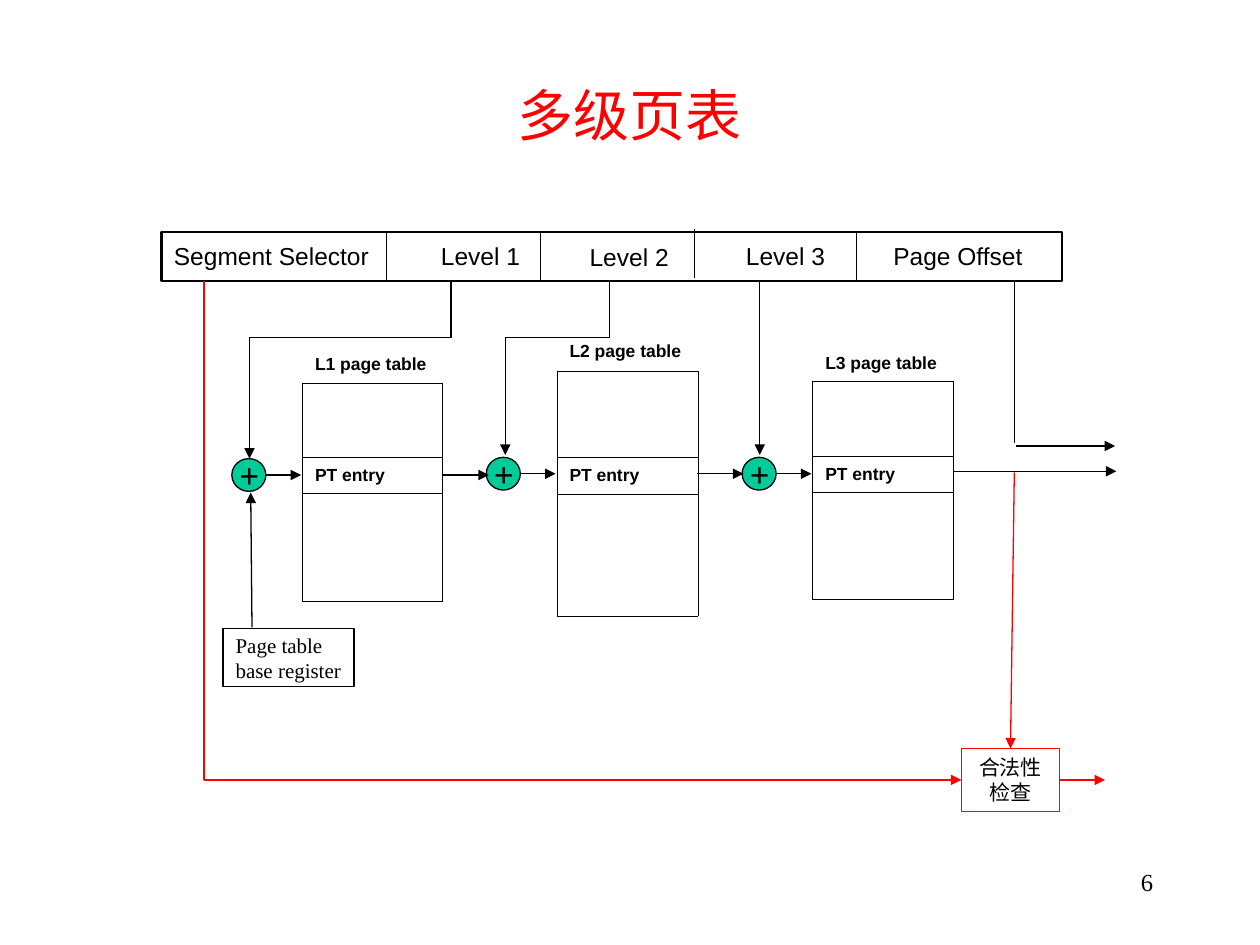
import pptx
import pptx.util
import pptx.dml.color
import pptx.enum.shapes
import pptx.enum.text
import pptx.oxml
import pptx.oxml.ns

SCALE = 9144  # EMU in one px, 100 px to the inch
BLACK, RED, GREEN = "000000", "FF0000", "00CC99"
SHAPE = pptx.enum.shapes.MSO_SHAPE
ALIGN = pptx.enum.text.PP_ALIGN
ANCHOR = pptx.enum.text.MSO_ANCHOR


def px(*nums):
    return [pptx.util.Emu(n * SCALE) for n in nums]


def color(code):
    return pptx.dml.color.RGBColor.from_string(code)


def write(frame, text, size=14, font="Arial", ink=BLACK, bold=False,
          align=ALIGN.LEFT, space=None):
    """Put one formatted paragraph into a text frame."""
    para = frame.paragraphs[0]
    para.alignment = align
    if space:
        para.line_spacing = space
    run = para.add_run()
    run.text = text
    run.font.size = pptx.util.Pt(size)
    run.font.name = font
    run.font.bold = bold
    run.font.color.rgb = color(ink)


def inset(frame, side, top):
    frame.margin_left, frame.margin_right = px(side, side)
    frame.margin_top, frame.margin_bottom = px(top, top)


def node(tag, **attrs):
    item = pptx.oxml.parse_xml(
        f"<a:{tag} {pptx.oxml.ns.nsdecls('a')}/>")
    for key, value in attrs.items():
        item.set(key, value)
    return item


class Painter:
    thin = 0.75
    edge = 0.45
    serif = "Times New Roman"

    def __init__(self, deck):
        self.slide = deck.slides.add_slide(deck.slide_layouts[5])
        self.shapes = self.slide.shapes

    def title(self, text, box):
        head = self.shapes.title
        head.left, head.top, head.width, head.height = px(*box)
        head.text_frame.vertical_anchor = ANCHOR.MIDDLE
        write(head.text_frame, text, size=32, ink=RED, align=ALIGN.CENTER)

    def label(self, text, box, side=2, top=1, wrap=True, **style):
        frame = self.shapes.add_textbox(*px(*box)).text_frame
        frame.word_wrap = wrap
        inset(frame, side, top)
        write(frame, text, **style)

    def shape(self, kind, box, fill=None, ink=BLACK, width=thin):
        item = self.shapes.add_shape(kind, *px(*box))
        item.shadow.inherit = False
        if fill:
            item.fill.solid()
            item.fill.fore_color.rgb = color(fill)
        else:
            item.fill.background()
        item.line.color.rgb = color(ink)
        item.line.width = pptx.util.Pt(width)
        return item

    def line(self, x1, y1, x2, y2, ink=BLACK, arrow=False,
             start=None, end=None):
        """Draw a line; start and end are (shape, site) pairs to join."""
        item = self.shapes.add_connector(
            pptx.enum.shapes.MSO_CONNECTOR.STRAIGHT, *px(x1, y1, x2, y2))
        if start:
            item.begin_connect(*start)
        if end:
            item.end_connect(*end)
        item.line.color.rgb = color(ink)
        item.line.width = pptx.util.Pt(self.thin)
        if arrow:
            item.line._get_or_add_ln().append(node("tailEnd", type="triangle"))
        item._element.spPr.append(node("effectLst"))

    def border(self, cell, sides):
        """Draw the named sides of a cell and clear the others."""
        cell.fill.background()
        props = cell._tc.get_or_add_tcPr()
        for spot, side in enumerate("LRTB"):
            rule = node(f"ln{side}", w=str(pptx.util.Pt(self.edge)))
            if side in sides:
                paint = node("solidFill")
                paint.append(node("srgbClr", val=BLACK))
            else:
                paint = node("noFill")
            rule.append(paint)
            props.insert(spot, rule)

    def table(self, name, x, y, wide, rows):
        grid = self.shapes.add_table(
            len(rows), 1, *px(x, y, wide, sum(rows))).table
        grid.first_row = grid.horz_banding = False
        texts = [name, "", "PT entry", ""]
        for i, (high, text) in enumerate(zip(rows, texts)):
            grid.rows[i].height = px(high)[0]
            cell = grid.cell(i, 0)
            inset(cell, 10, 5)
            self.border(cell, "LRTB" if i else "B")
            if text:
                write(cell.text_frame, text, size=10, bold=True, space=1.1)

    def adder(self, x, y):
        """Green circle with a plus, and its arrow to the table."""
        self.shape(SHAPE.OVAL, (x, y, 27, 26), fill=GREEN)
        self.label("+", (x + 6, y - 4, 16, 33), side=0, top=0, wrap=False,
                   size=20, font=self.serif, bold=True, align=ALIGN.CENTER)
        self.line(x + 27, y + 13, x + 55, y + 13, arrow=True)


def main():
    deck = pptx.Presentation()
    deck.slide_width, deck.slide_height = px(1000, 750)
    art = Painter(deck)
    art.title("多级页表", (75, 35, 850, 111))

    # Address fields
    art.shape(SHAPE.RECTANGLE, (128, 184, 715, 39), width=1.5)
    for text, x, y, wide in [("Segment Selector", 136, 190, 168),
                             ("Level 1", 348, 190, 83),
                             ("Level 2", 466, 191, 83),
                             ("Level 3", 590, 190, 83),
                             ("Page Offset", 707, 190, 123)]:
        art.label(text, (x, y, wide, 26))
    for x, y in [(307, 184), (429, 184), (551, 182), (680, 184)]:
        art.line(x, y, x, y + 39)

    # Page tables with their adders
    short, tall = (29, 59, 29, 85), (30, 68, 29, 97)
    for name, x, y, wide, rows, mid in [
            ("L1 page table", 240, 275, 111, short, 364),
            ("L2 page table", 442, 265, 112, tall, 363),
            ("L3 page table", 645, 274, 112, short, 363)]:
        art.table(name, x, y, wide, rows)
        art.adder(x - 56, mid)

    # Index lines from the fields down to the adders
    for field, x, tip in [(358, 198, 364), (484, 401, 361)]:
        art.line(field, 223, field, 268)
        art.line(x, 268, field, 268)
        art.line(x, 268, x, tip, arrow=True)
    art.line(603, 224, 603, 361, arrow=True)

    # Entries to the next level and to the final address
    for x, y, tip in [(352, 377, 388), (553, 376, 590), (757, 374, 886)]:
        art.line(x, y, tip, y, arrow=True)
    art.line(805, 223, 805, 352)
    art.line(806, 354, 885, 354, arrow=True)

    # Base register
    art.shape(SHAPE.RECTANGLE, (177, 499, 104, 46))
    art.label("Page table base register", (185, 501, 90, 42),
              size=12, font=art.serif)
    art.line(200, 498, 199, 391, arrow=True)

    # Validity check
    check = art.shape(SHAPE.RECTANGLE, (763, 594, 78, 50), ink=RED)
    check.text_frame.word_wrap = True
    inset(check.text_frame, 10, 5)
    write(check.text_frame, "合法性检查", size=12, font=art.serif,
          align=ALIGN.CENTER)
    art.line(162, 223, 162, 619, ink=RED)
    art.line(162, 619, 763, 619, ink=RED, arrow=True, end=(check, 1))
    art.line(805, 375, 802, 594, ink=RED, arrow=True, end=(check, 0))
    art.line(841, 619, 877, 619, ink=RED, arrow=True, start=(check, 3))

    # Page number
    art.label("6", (717, 683, 208, 50), side=10, top=5, font=art.serif,
              align=ALIGN.RIGHT)
    deck.save("out.pptx")


if __name__ == "__main__":
    main()
